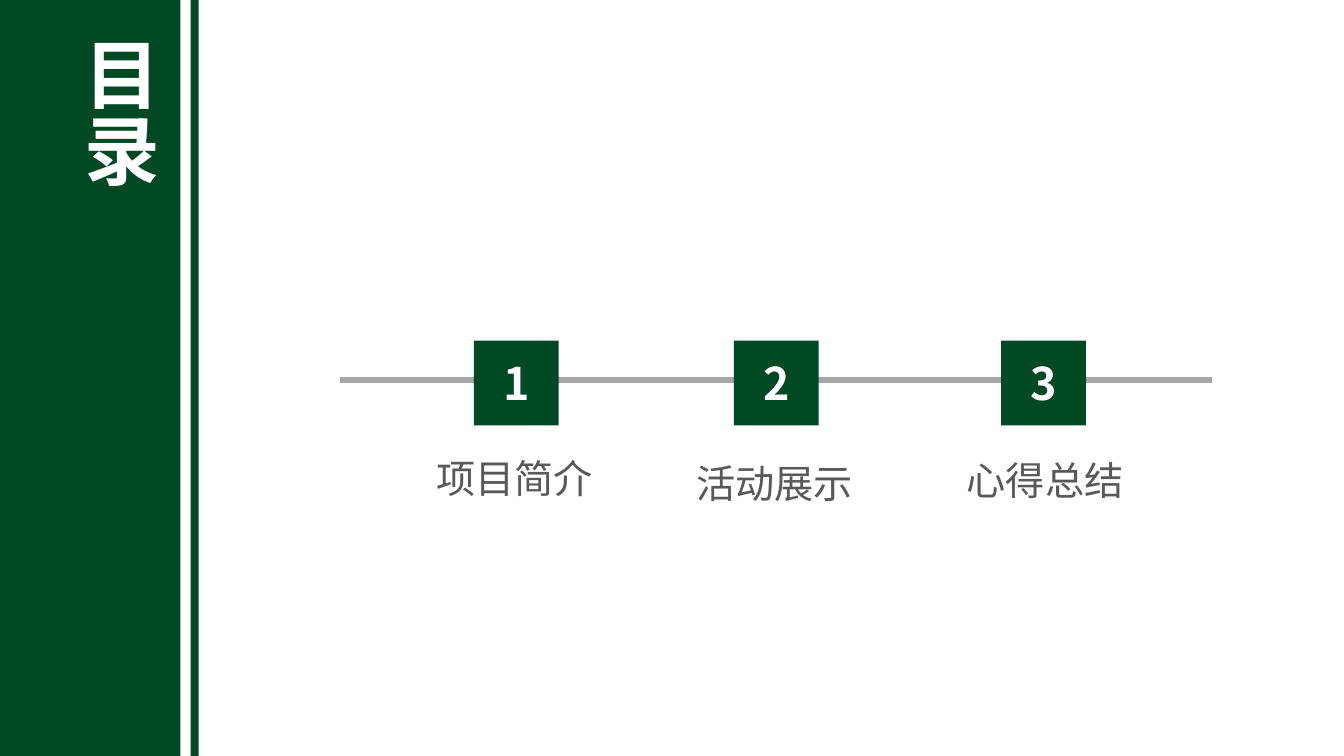
"""Build a contents slide with a side band and three numbered steps."""
from dataclasses import dataclass

from lxml import etree
from pptx import Presentation
from pptx import util as u
from pptx.dml.color import RGBColor
from pptx.enum import shapes, text
from pptx.oxml import ns
from pptx.shapes.autoshape import Shape
from pptx.shapes.shapetree import SlideShapes

FONT = "Noto Sans CJK SC"
GREEN, GREY, DARK, WHITE = "014924", "A6A6A6", "595959", "FFFFFF"
SIDE = 0.84
TOP = 3.38


@dataclass
class Box:
    left: float
    top: float
    width: float
    height: float

    def emu(self) -> list[int]:
        return [u.Inches(n) for n in (self.left, self.top, self.width, self.height)]


@dataclass
class Style:
    size: int
    color: str
    bold: bool = False
    align: text.PP_ALIGN = text.PP_ALIGN.LEFT
    wrap: bool = True


@dataclass
class Step:
    left: float
    label: str
    start: float
    top: float


TITLE = Style(54, WHITE, True, text.PP_ALIGN.JUSTIFY)
DIGIT = Style(32, WHITE, True, text.PP_ALIGN.CENTER)
LABEL = Style(28, DARK, wrap=False)
BANDS = [Box(0, 0, 1.79, 7.5), Box(1.89, 0, 0.08, 7.5)]
STEPS = [
    Step(4.7, "项目简介", 4.23, 4.46),
    Step(7.28, "活动展示", 6.81, 4.51),
    Step(9.93, "心得总结", 9.49, 4.48),
]


def rgb(code: str) -> RGBColor:
    return RGBColor.from_string(code)


def add_rect(tree: SlideShapes, box: Box) -> None:
    rect = tree.add_shape(shapes.MSO_SHAPE.RECTANGLE, *box.emu())
    rect.shadow.inherit = False
    rect.fill.solid()
    rect.fill.fore_color.rgb = rgb(GREEN)
    rect.line.fill.background()


def add_text(tree: SlideShapes, box: Box, words: str, style: Style) -> Shape:
    shape = tree.add_textbox(*box.emu())
    frame = shape.text_frame
    frame.word_wrap = style.wrap
    frame.auto_size = text.MSO_AUTO_SIZE.SHAPE_TO_FIT_TEXT
    para = frame.paragraphs[0]
    para.text = words
    para.alignment = style.align
    font = para.font
    font.size = u.Pt(style.size)
    font.bold = style.bold
    font.color.rgb = rgb(style.color)
    font.name = FONT
    props = para._p.pPr.find(ns.qn("a:defRPr"))
    etree.SubElement(props, ns.qn("a:ea"), typeface=FONT)
    return shape


def add_axis(tree: SlideShapes) -> None:
    ends = [u.Inches(n) for n in (3.37, 3.77, 12.02, 3.77)]
    axis = tree.add_connector(shapes.MSO_CONNECTOR.STRAIGHT, *ends)
    axis.line.color.rgb = rgb(GREY)
    axis.line.width = u.Pt(4)
    etree.SubElement(axis._element.spPr, ns.qn("a:effectLst"))


def main() -> None:
    deck = Presentation()
    deck.slide_width, deck.slide_height = u.Inches(13.33), u.Inches(7.5)
    tree = deck.slides.add_slide(deck.slide_layouts[6]).shapes
    add_axis(tree)
    for num, step in enumerate(STEPS, 1):
        add_rect(tree, Box(step.left, TOP, SIDE, SIDE))
        add_text(tree, Box(step.left - 0.11, TOP + 0.1, 1.07, 0.72), str(num), DIGIT)
        add_text(tree, Box(step.start, step.top, 1.77, 0.57), step.label, LABEL)
    for band in BANDS:
        add_rect(tree, band)
    title = add_text(tree, Box(0.58, 0.27, 1.11, 1.92), "目录", TITLE)
    title.text_frame._txBody.bodyPr.set("vert", "eaVert")
    deck.save("out.pptx")


if __name__ == "__main__":
    main()
